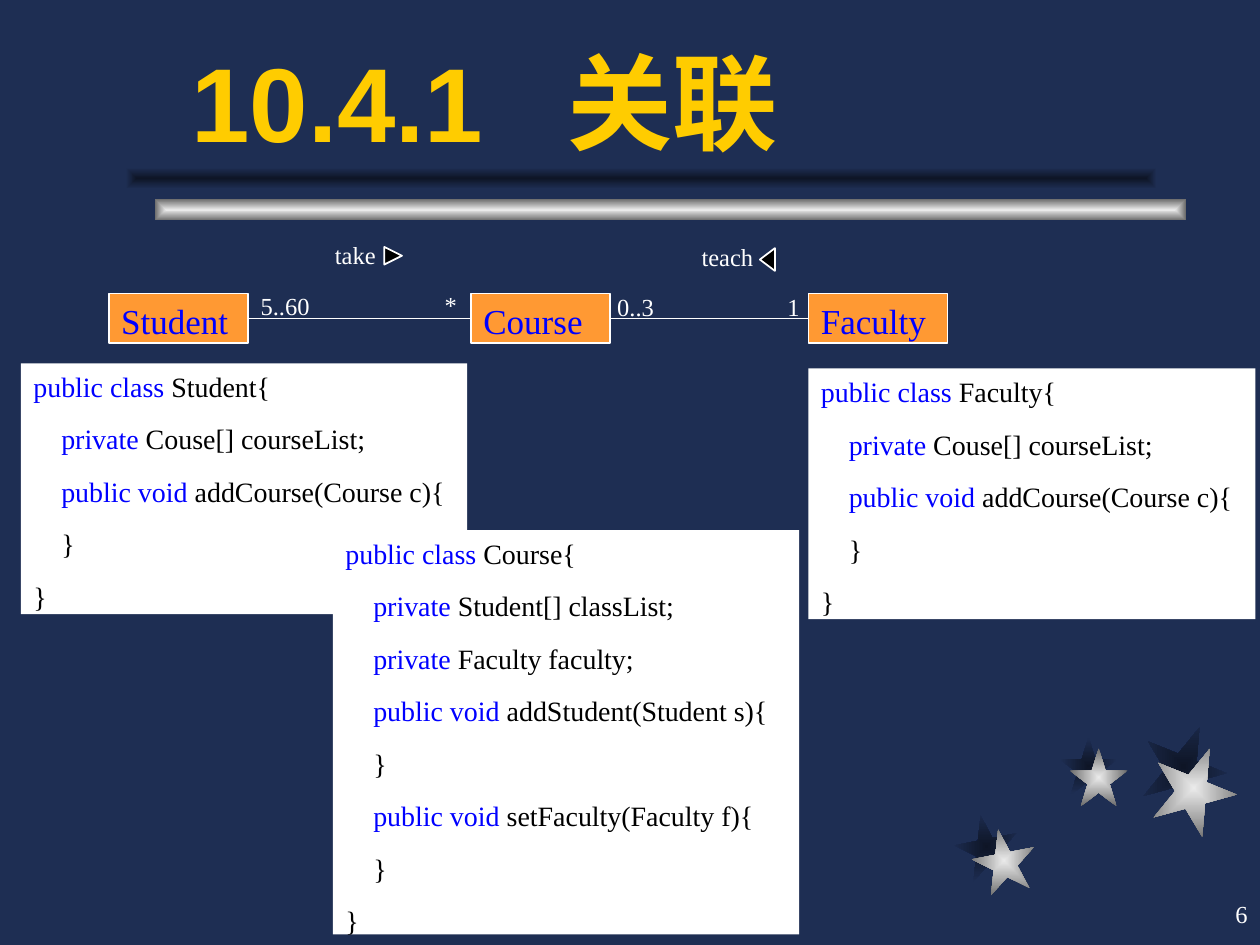
from dataclasses import dataclass

from pptx import Presentation
from pptx.dml.color import RGBColor as RGB
from pptx.enum.shapes import MSO_CONNECTOR as Link, MSO_SHAPE as Kind
from pptx.enum.text import MSO_ANCHOR as Anchor, MSO_AUTO_SIZE as Fit, PP_ALIGN as Align
from pptx.oxml import parse_xml
from pptx.oxml.ns import nsdecls, qn
from pptx.util import Pt


@dataclass(frozen=True)
class Theme:
    back: str = "1E2E53"
    dark: str = "0E1526"
    light: str = "EAEAEA"
    grey: str = "6C6C6C"
    gold: str = "FFCC00"
    box: str = "FF9933"
    key: str = "0000FF"
    white: str = "FFFFFF"
    black: str = "000000"
    head: str = "Arial"
    body: str = "Times New Roman"
    title: float = 60
    name: float = 20
    code: float = 16
    note: float = 14
    gap: float = 10.8
    line: float = 1


class Deck:
    """Holds the theme and the current slide, and draws each kind of element."""

    def __init__(self, theme):
        self.theme = theme
        self.show = Presentation()
        self.show.slide_width, self.show.slide_height = Pt(720), Pt(540)
        self.slide = self.show.slides.add_slide(self.show.slide_layouts[5])
        fill = self.slide.background.fill
        fill.solid()
        fill.fore_color.rgb = RGB.from_string(theme.back)

    def style(self, run, size, color, face=None, bold=False):
        font = run.font
        font.name, font.size, font.bold = face or self.theme.body, Pt(size), bold
        font.color.rgb = RGB.from_string(color)

    def title(self, text, at, tab):
        item = self.slide.shapes.title
        item.left, item.top, item.width, item.height = map(Pt, at)
        frame = item.text_frame
        frame.text = text
        frame.auto_size, frame.vertical_anchor = Fit.NONE, Anchor.TOP
        para = frame.paragraphs[0]
        para.alignment = Align.LEFT
        tabs = f'<a:tabLst {nsdecls("a")}><a:tab pos="{Pt(tab)}" algn="l"/></a:tabLst>'
        para._p.get_or_add_pPr().append(parse_xml(tabs))
        self.style(para.runs[0], self.theme.title, self.theme.gold, self.theme.head, True)

    def shape(self, kind, at, fill=None, line=None, turn=0):
        item = self.slide.shapes.add_shape(kind, *map(Pt, at))
        item.shadow.inherit = False
        item.rotation = turn
        if fill:
            item.fill.solid()
            item.fill.fore_color.rgb = RGB.from_string(fill)
        if line:
            item.line.color.rgb = RGB.from_string(line)
            item.line.width = Pt(self.theme.line)
        else:
            item.line.fill.background()
        return item

    def glow(self, kind, at, inner, outer, turn=0):
        item = self.shape(kind, at, turn=turn)
        item.fill.gradient()
        for stop, color, pos in zip(item.fill.gradient_stops, (inner, outer), (0, 1)):
            stop.color.rgb, stop.position = RGB.from_string(color), pos
        grad = item._element.spPr.find(qn("a:gradFill"))
        grad.remove(grad.find(qn("a:lin")))
        grad.append(parse_xml(
            f'<a:path {nsdecls("a")} path="rect">'
            '<a:fillToRect l="50000" t="50000" r="50000" b="50000"/></a:path>'))

    def label(self, text, at, align=Align.LEFT, anchor=Anchor.TOP, fit=Fit.SHAPE_TO_FIT_TEXT):
        frame = self.slide.shapes.add_textbox(*map(Pt, at)).text_frame
        frame.word_wrap, frame.auto_size, frame.vertical_anchor = True, fit, anchor
        frame.text = text
        para = frame.paragraphs[0]
        para.alignment = align
        self.style(para.runs[0], self.theme.note, self.theme.white)

    def entity(self, text, at):
        item = self.shape(Kind.FLOWCHART_PROCESS, at, self.theme.box, self.theme.white)
        frame = item.text_frame
        frame.vertical_anchor = Anchor.TOP
        frame.text = text
        frame.paragraphs[0].alignment = Align.LEFT
        self.style(frame.paragraphs[0].runs[0], self.theme.name, self.theme.key)
        return item

    def link(self, start, end):
        item = self.slide.shapes.add_connector(Link.STRAIGHT, 0, 0, 0, 0)
        item.begin_connect(start, 3)
        item.end_connect(end, 1)
        item.line.color.rgb = RGB.from_string(self.theme.white)
        item.line.width = Pt(self.theme.line)
        item._element.spPr.append(parse_xml(f'<a:effectLst {nsdecls("a")}/>'))

    def arrow(self, at, turn):
        self.shape(Kind.ISOSCELES_TRIANGLE, at, self.theme.black, self.theme.white, turn)

    def code(self, lines, at):
        frame = self.shape(Kind.RECTANGLE, at, self.theme.white).text_frame
        frame.word_wrap, frame.vertical_anchor = True, Anchor.TOP
        frame.auto_size = Fit.SHAPE_TO_FIT_TEXT
        for i, line in enumerate(lines):
            para = frame.add_paragraph() if i else frame.paragraphs[0]
            para.alignment = Align.LEFT
            para.space_before = Pt(self.theme.gap if i else 0)
            for part, color in zip(line.split("|"), (self.theme.key, self.theme.black)):
                if part:
                    run = para.add_run()
                    run.text = part
                    self.style(run, self.theme.code, color)


def source(name, fields, calls):
    """Return the class as lines, with a bar between keywords and the rest."""
    lines = [f"public class |{name}{{"]
    lines += [f"    private| {field};" for field in fields]
    for call in calls:
        lines += [f"    public void |{call}{{", "|    }"]
    return lines + ["|}"]


def main():
    theme = Theme()
    deck = Deck(theme)
    deck.title("10.4.1\t关联", (102.2, 18, 563.8, 90), 215)

    shade, shine = (theme.dark, theme.back), (theme.light, theme.grey)
    stars = [
        (545.8, 465.8, 36, 349, shade), (605.5, 421.2, 33.1, 0, shade),
        (652.3, 414, 48.2, 22, shade), (555.8, 473.8, 36, 349, shine),
        (611.3, 427.7, 33.1, 0, shine), (658.1, 426.2, 48.2, 22, shine),
    ]
    for x, y, size, turn, tone in stars:
        deck.glow(Kind.STAR_5_POINT, (x, y, size, size), *tone, turn)
    for x, y, tone in ((88.6, 113.8, shine), (72, 95.8, shade)):
        deck.glow(Kind.RECTANGLE, (x, y, 589, 12.2), *tone)

    deck.label("6", (570.2, 504, 149.8, 36), Align.RIGHT, Anchor.MIDDLE, Fit.NONE)

    boxes = [deck.entity(name, (x, 167.8, 79.4, 28.4))
             for name, x in (("Student", 62.1), ("Course", 269.1), ("Faculty", 462))]
    for pair in zip(boxes, boxes[1:]):
        deck.link(*pair)

    notes = [
        ("5..60", 141.8, 162.7, 42.5), ("*", 247, 162, 28),
        ("take", 184.3, 133.9, 42.5), ("0..3", 345.6, 163.4, 42.5),
        ("1", 442.8, 163.4, 28), ("teach", 393.8, 134.6, 51.1),
    ]
    for text, x, y, wide in notes:
        deck.label(text, (x, y, wide, 24.5))
    deck.arrow((219.6, 141.1, 10.1, 10.1), 90)
    deck.arrow((432, 144, 13, 8.6), 270)

    field, call = ["Couse[] courseList"], ["addCourse(Course c)"]
    deck.code(source("Student", field, call), (12, 207.6, 255, 143.3))
    deck.code(source("Course", ["Student[] classList", "Faculty faculty"],
                     ["addStudent(Student s)", "setFaculty(Faculty f)"]),
              (190.3, 303, 266.4, 231))
    deck.code(source("Faculty", field, call), (462, 210.5, 255.4, 143.3))
    deck.show.save("out.pptx")


if __name__ == "__main__":
    main()
